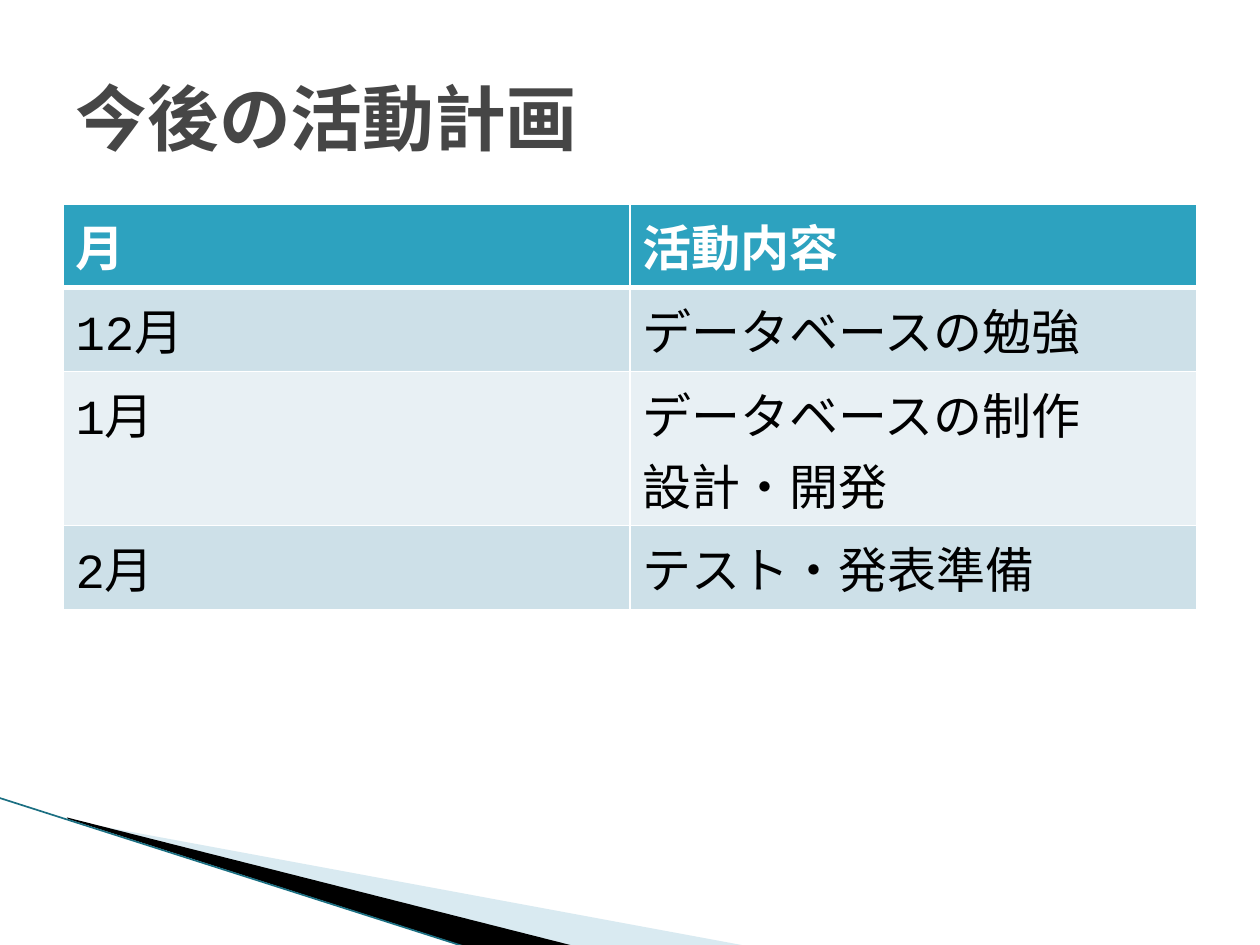
"""Build the slide with the plan of coming activities by month."""
from typing import NamedTuple, Optional

from lxml.etree import SubElement
from pptx import Presentation
from pptx.dml.color import RGBColor
from pptx.enum.shapes import MSO_CONNECTOR as Connector
from pptx.enum.text import MSO_ANCHOR as Anchor, MSO_AUTO_SIZE as AutoSize, PP_ALIGN as Align
from pptx.oxml.ns import qn
from pptx.util import Cm, Pt

FONT = "Courier New"
WHITE = "FFFFFF"
BLACK = "000000"


class Wedge(NamedTuple):
    points: tuple
    color: str
    opacity: Optional[int] = None


class PlanRow(NamedTuple):
    month: str
    activity: str
    fill: str
    color: str = BLACK
    bold: bool = False
    bottom_width: float = 1


WEDGES = (
    Wedge(((1.4, 16.54), (15.11, 19.08), (11.58, 19.08), (1.4, 16.51)), "A0CBDC", 40),
    Wedge(((1.35, 16.48), (11.61, 19.08), (9.45, 19.1), (1.37, 16.51)), BLACK),
)
PLAN = (
    PlanRow("月", "活動内容", "2DA2BF", WHITE, True, 3),
    PlanRow("12月", "データベースの勉強", "CDE0E8"),
    PlanRow("1月", "データベースの制作\n設計・開発", "E8F0F4"),
    PlanRow("2月", "テスト・発表準備", "CDE0E8"),
)


def rgb(color: str) -> RGBColor:
    """Turn a hex string into a colour."""
    return RGBColor.from_string(color)


def style_text(frame, size: float, color: str, bold: bool) -> None:
    """Set the font of every paragraph and align it left."""
    for paragraph in frame.paragraphs:
        paragraph.alignment = Align.LEFT
        font = paragraph.font
        font.name, font.size, font.bold = FONT, Pt(size), bold
        font.color.rgb = rgb(color)


def draw_wedge(shapes, wedge: Wedge) -> None:
    """Draw one filled wedge without an outline."""
    start, *rest = [(Cm(x), Cm(y)) for x, y in wedge.points]
    builder = shapes.build_freeform(*start)
    builder.add_line_segments(rest)
    shape = builder.convert_to_shape()
    shape.shadow.inherit = False
    shape.line.fill.background()
    shape.fill.solid()
    shape.fill.fore_color.rgb = rgb(wedge.color)
    if wedge.opacity is not None:
        color = shape.fill._xPr.find(".//" + qn("a:srgbClr"))
        SubElement(color, qn("a:alpha"), val=str(wedge.opacity * 1000))


def draw_edge(shapes) -> None:
    """Draw the thin line along the lower wedge."""
    edge = shapes.add_connector(Connector.STRAIGHT, Cm(-0.03), Cm(16.08), Cm(9.42), Cm(19.1))
    edge.line.color.rgb = rgb("1B6F82")
    edge.line.width = Pt(0.95)
    SubElement(edge._element.spPr, qn("a:effectLst"))


def draw_borders(cell, top: float, bottom: float) -> None:
    """Give a cell white borders of the given widths."""
    properties = cell._tc.get_or_add_tcPr()
    for side, width in (("L", 1), ("R", 1), ("T", top), ("B", bottom)):
        line = SubElement(properties, qn(f"a:ln{side}"), w=str(Pt(width)))
        fill = SubElement(line, qn("a:solidFill"))
        SubElement(fill, qn("a:srgbClr"), val=WHITE)


def draw_plan(shapes) -> None:
    """Draw the table of months and activities."""
    row_height = Cm(1.04)
    table = shapes.add_table(
        len(PLAN), 2, Cm(1.27), Cm(4.11), Cm(22.86), row_height * len(PLAN)
    ).table
    top = 1
    for row, plan in zip(table.rows, PLAN):
        for cell, text in zip(row.cells, (plan.month, plan.activity)):
            cell.text = text
            style_text(cell.text_frame, 28, plan.color, plan.bold)
            draw_borders(cell, top, plan.bottom_width)
            cell.fill.solid()
            cell.fill.fore_color.rgb = rgb(plan.fill)
        top = plan.bottom_width


def write_title(title) -> None:
    """Place and format the slide title."""
    title.left, title.top, title.width, title.height = Cm(1.27), Cm(0.76), Cm(22.86), Cm(3.18)
    frame = title.text_frame
    frame.text = "今後の活動計画"
    frame.auto_size = AutoSize.NONE
    frame.vertical_anchor = Anchor.MIDDLE
    style_text(frame, 41, "464646", True)


def main() -> None:
    """Build and save the presentation."""
    deck = Presentation()
    deck.slide_width, deck.slide_height = Cm(25.4), Cm(19.05)
    slide = deck.slides.add_slide(deck.slide_layouts.get_by_name("Title Only"))
    for wedge in WEDGES:
        draw_wedge(slide.shapes, wedge)
    draw_edge(slide.shapes)
    draw_plan(slide.shapes)
    write_title(slide.shapes.title)
    deck.save("out.pptx")


if __name__ == "__main__":
    main()
